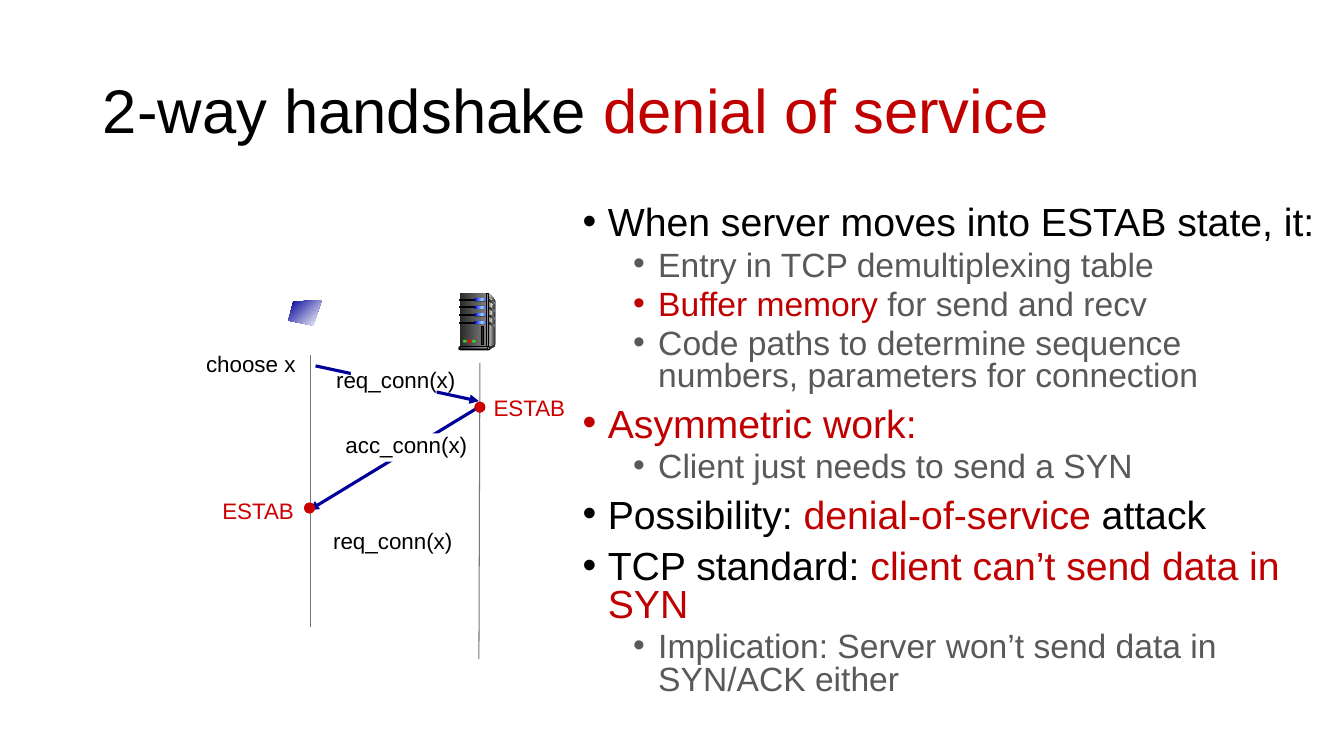
from copy import deepcopy

from lxml import etree
from pptx import Presentation
from pptx.dml.color import RGBColor
from pptx.enum.shapes import MSO_CONNECTOR, MSO_SHAPE
from pptx.enum.text import MSO_ANCHOR, PP_ALIGN
from pptx.oxml.ns import qn
from pptx.util import Inches, Pt

RECT, ROUND, OVAL = MSO_SHAPE.RECTANGLE, MSO_SHAPE.ROUNDED_RECTANGLE, MSO_SHAPE.OVAL
LEFT, CENTER, RIGHT = PP_ALIGN.LEFT, PP_ALIGN.CENTER, PP_ALIGN.RIGHT

BLACK = RGBColor(0x00, 0x00, 0x00)
WHITE = RGBColor(0xFF, 0xFF, 0xFF)
GREY = RGBColor(0x59, 0x59, 0x59)
CRIMSON = RGBColor(0xC0, 0x00, 0x00)
RED = RGBColor(0xCC, 0x00, 0x00)
NAVY = RGBColor(0x00, 0x00, 0x99)
LIFELINE = RGBColor(0x77, 0x77, 0x77)
DARK = RGBColor(0x29, 0x29, 0x29)
CHARCOAL = RGBColor(0x33, 0x33, 0x33)
MID = RGBColor(0x80, 0x80, 0x80)
SILVER = RGBColor(0xDD, 0xDD, 0xDD)
PALE = RGBColor(0xF8, 0xF8, 0xF8)
SLATE = RGBColor(0x44, 0x54, 0x6A)
MIST = RGBColor(0xE7, 0xE6, 0xE6)
BLUE = RGBColor(0x00, 0x00, 0xFF)
SKY = RGBColor(0x99, 0xCC, 0xFF)
GREEN = RGBColor(0x33, 0xCC, 0x33)
BRIGHT_RED = RGBColor(0xFF, 0x00, 0x00)

# Content
TITLE = [("2-way handshake ", BLACK), ("denial of service", CRIMSON)]
BULLETS = [  # level, spans
    (0, [("When server moves into ESTAB state, it:", BLACK)]),
    (1, [("Entry in TCP demultiplexing table", GREY)]),
    (1, [("Buffer memory", CRIMSON), (" for send and recv", GREY)]),
    (1, [("Code paths to determine sequence numbers, parameters for connection", GREY)]),
    (0, [("Asymmetric work:", CRIMSON)]),
    (1, [("Client just needs to send a SYN", GREY)]),
    (0, [("Possibility: ", BLACK), ("denial-of-service ", CRIMSON), ("attack", BLACK)]),
    (0, [("TCP standard: ", BLACK), ("client can’t send data in SYN", CRIMSON)]),
    (1, [("Implication: Server won’t send data in SYN/ACK either", GREY)]),
]
LEVELS = [(28, 10, 0.25), (24, 5, 0.75)]  # size, space before, indent
LABELS = [  # text, left, top, width, colour, alignment
    ("req_conn(x)", 3.2, 5.18, 1.39, BLACK, CENTER),
    ("choose x", 1.93, 3.42, 1.1, BLACK, RIGHT),
    ("req_conn(x)", 3.23, 3.58, 1.39, BLACK, CENTER),
    ("ESTAB", 4.79, 3.86, 0.92, RED, CENTER),
    ("ESTAB", 2.1, 4.88, 0.92, RED, CENTER),
    ("acc_conn(x)", 3.32, 4.23, 1.42, BLACK, CENTER),
]
LIFELINES = [((3.08, 3.52), (3.08, 6.22)), ((4.76, 3.6), (4.75, 6.54))]
MESSAGES = [((3.13, 3.63), (4.75, 3.98)), ((4.78, 4.02), (3.07, 5.06))]
MESSAGE_GAPS = [(3.48, 3.62, 0.85, 0.36), (3.67, 4.08, 0.48, 0.36), (3.46, 4.3, 1.17, 0.28)]
STATE_DOTS = [(3.02, 4.99), (4.71, 3.99)]

deck = Presentation()
deck.slide_width, deck.slide_height = Inches(13.33), Inches(7.5)
page = deck.slides.add_slide(deck.slide_layouts[5])


def write_spans(para, spans, size):
    for text, color in spans:
        span = para.add_run()
        span.text = text
        span.font.name, span.font.size = "Arial", Pt(size)
        span.font.color.rgb = color


def paint(shape, colors, angle=0, outline=None):
    """One colour fills solid; two or three make an even gradient."""
    shape.shadow.inherit = False
    if len(colors) == 1:
        shape.fill.solid()
        shape.fill.fore_color.rgb = colors[0]
    else:
        shape.fill.gradient()
        shape.fill.gradient_angle = angle
        stop_list = shape._element.spPr.find(".//" + qn("a:gsLst"))
        while len(stop_list) < len(colors):
            stop_list.append(deepcopy(stop_list[0]))
        for index, stop in enumerate(shape.fill.gradient_stops):
            stop.position = index / (len(colors) - 1)
            stop.color.rgb = colors[index]
    if outline is None:
        shape.line.fill.background()
    else:
        shape.line.color.rgb = outline
        shape.line.width = Pt(0.75)


def add_part(kind, box, *colors, outline=None):
    shape = page.shapes.add_shape(kind, *map(Inches, box))
    if kind == ROUND:
        shape.adjustments[0] = 0.5
    paint(shape, colors, outline=outline)


def add_panel(points, *colors, angle=0):
    corners = [(Inches(x), Inches(y)) for x, y in points]
    builder = page.shapes.build_freeform(*corners[0])
    builder.add_line_segments(corners[1:], close=True)
    paint(builder.convert_to_shape(), colors, angle)


def add_line(start, end, color, width, arrow=False):
    line = page.shapes.add_connector(MSO_CONNECTOR.STRAIGHT, *map(Inches, start + end))
    line.line.color.rgb, line.line.width = color, Pt(width)
    if arrow:
        etree.SubElement(line.line._get_or_add_ln(), qn("a:tailEnd"), type="triangle")
    etree.SubElement(line._element.spPr, qn("a:effectLst"))


# Title
title = page.shapes.title
title.left, title.top, title.width, title.height = map(Inches, (0.92, 0.4, 11.5, 1.45))
title.text_frame.vertical_anchor = MSO_ANCHOR.MIDDLE
heading = title.text_frame.paragraphs[0]
heading.alignment, heading.line_spacing = LEFT, 0.9
write_spans(heading, TITLE, 44)

# Bullet list
body = page.shapes.add_textbox(*map(Inches, (5.68, 2, 7.55, 5.31))).text_frame
body.word_wrap = True
for index, (level, spans) in enumerate(BULLETS):
    size, before, indent = LEVELS[level]
    para = body.add_paragraph() if index else body.paragraphs[0]
    para.level, para.line_spacing = level, 0.8
    if index:
        para.space_before = Pt(before)
    props = para._p.get_or_add_pPr()
    props.set("marL", str(Inches(indent)))
    props.set("indent", str(Inches(-0.25)))
    etree.SubElement(props, qn("a:buFont"), typeface="Arial")
    etree.SubElement(props, qn("a:buChar"), char="•")
    write_spans(para, spans, size)

# Lifelines, messages and the white gaps behind their labels
for start, end in LIFELINES:
    add_line(start, end, LIFELINE, 0.75)
for start, end in MESSAGES:
    add_line(start, end, NAVY, 2.25, arrow=True)
for gap in MESSAGE_GAPS:
    add_part(RECT, gap, WHITE)
for x, y in STATE_DOTS:
    add_part(OVAL, (x, y, 0.1, 0.1), RED, outline=RED)
for text, left, top, width, color, alignment in LABELS:
    label = page.shapes.add_textbox(*map(Inches, (left, top, width, 0.37))).text_frame
    label.word_wrap = False
    label.paragraphs[0].alignment = alignment
    write_spans(label.paragraphs[0], [(text, color)], 16)

# Client screen
add_panel([(3.19, 2.98), (2.91, 2.99), (2.86, 3.18), (3.11, 3.23)], NAVY, WHITE, angle=315)

# Server case
add_panel([(4.85, 2.91), (4.91, 2.98), (4.91, 3.42), (4.84, 3.45)], SILVER, CHARCOAL)
add_part(RECT, (4.56, 2.91, 0.27, 0.53), DARK, MID)
add_panel([(4.85, 2.94), (4.89, 2.99), (4.87, 3.2), (4.85, 3.43)], MID, PALE)

# Server drive slots, with a rib on the side panel for each
for slot in range(4):
    y = 2.97 + 0.075 * slot
    add_part(RECT, (4.56, y, 0.15, 0.01), BLACK, outline=BLACK)
    add_part(ROUND, (4.7, y - 0.01, 0.15, 0.03), BLACK)
    add_part(ROUND, (4.71, y - 0.01, 0.14, 0.03), BLUE, SKY, BLUE)
    add_panel([(4.85, y), (4.91, y + 0.03), (4.91, y + 0.05), (4.85, y + 0.02)], DARK, MID)

# Server edge, foot and lights
add_part(RECT, (4.83, 2.91, 0.02, 0.54), CHARCOAL, SILVER, CHARCOAL, outline=BLACK)
add_part(OVAL, (4.9, 3.42, 0.01, 0.02), CHARCOAL)
add_panel([(4.85, 3.44), (4.85, 3.47), (4.91, 3.44), (4.91, 3.42)], CHARCOAL)
add_part(ROUND, (4.55, 3.44, 0.31, 0.03), SILVER, outline=BLACK)
add_part(ROUND, (4.56, 3.44, 0.28, 0.02), SLATE, MIST, outline=BLACK)
for index, color in enumerate((GREEN, BRIGHT_RED, GREEN)):
    add_part(OVAL, (4.59 + 0.045 * index, 3.37, 0.04, 0.03), color)
add_part(RECT, (4.78, 3.24, 0.02, 0.18), DARK, outline=BLACK)

deck.save("out.pptx")
